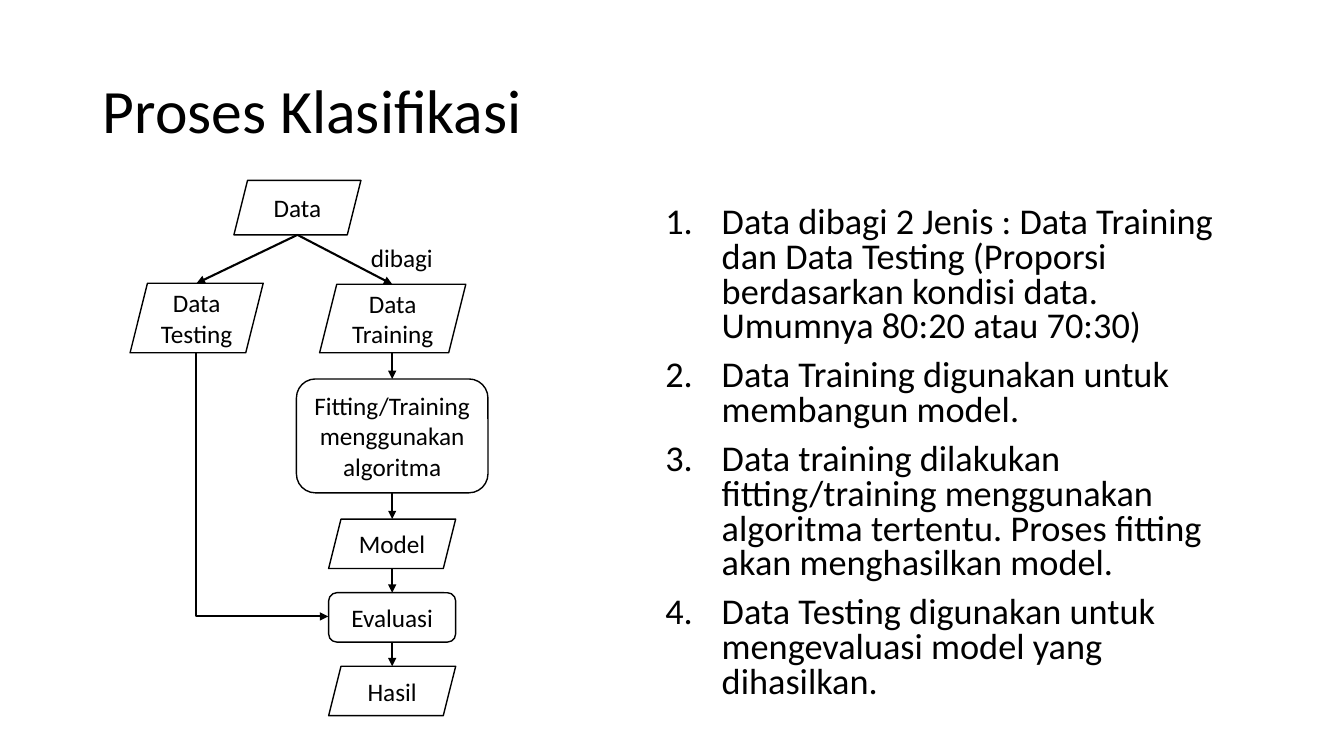
from dataclasses import dataclass

from lxml import etree
from pptx import Presentation
from pptx import util as u
from pptx.dml.color import RGBColor
from pptx.enum import shapes, text
from pptx.oxml import ns

SCALE = 9144
SKEW = shapes.MSO_SHAPE.PARALLELOGRAM
ROUND = shapes.MSO_SHAPE.ROUNDED_RECTANGLE


@dataclass(frozen=True)
class Theme:
    ink: RGBColor = RGBColor(0, 0, 0)
    paper: RGBColor = RGBColor(255, 255, 255)
    font: str = "Calibri"
    title: float = 44
    body: float = 25.9
    label: float = 18
    edge: float = 1
    arrow: float = 1.5


@dataclass(frozen=True)
class Box:
    left: int
    top: int
    width: int
    height: int

    @property
    def mid(self) -> int:
        return self.left + self.width // 2

    @property
    def foot(self) -> int:
        return self.top + self.height


@dataclass(frozen=True)
class Node:
    label: str
    kind: shapes.MSO_SHAPE
    box: Box


THEME = Theme()
TITLE = Box(92, 40, 1150, 145)
BODY = Box(650, 200, 592, 510)
NOTE = Box(358, 236, 82, 40)

DATA = Node("Data", SKEW, Box(232, 179, 126, 54))
TEST = Node("Data Testing", SKEW, Box(129, 281, 132, 69))
TRAIN = Node("Data Training", SKEW, Box(317, 282, 145, 68))
FIT = Node("Fitting/Training menggunakan algoritma", ROUND, Box(294, 376, 190, 113))
MODEL, EVAL, RESULT = (
    Node(label, kind, Box(326, 515 + 73 * row, 126, 49))
    for row, (label, kind) in enumerate(
        [("Model", SKEW), ("Evaluasi", ROUND), ("Hasil", SKEW)]
    )
)
NODES = [DATA, TEST, TRAIN, FIT, MODEL, EVAL, RESULT]
FLOWS = [
    (DATA, TEST),
    (DATA, TRAIN),
    (TRAIN, FIT),
    (FIT, MODEL),
    (MODEL, EVAL),
    (EVAL, RESULT),
]
STEPS = [
    "Data dibagi 2 Jenis : Data Training dan Data Testing (Proporsi berdasarkan kondisi data. Umumnya 80:20 atau 70:30)",
    "Data Training digunakan untuk membangun model.",
    "Data training dilakukan fitting/training menggunakan algoritma tertentu. Proses fitting akan menghasilkan model.",
    "Data Testing digunakan untuk mengevaluasi model yang dihasilkan.",
]


def px(size: int) -> u.Emu:
    return u.Emu(size * SCALE)


def area(box: Box) -> tuple:
    return px(box.left), px(box.top), px(box.width), px(box.height)


def style(para, size: float, align=text.PP_ALIGN.LEFT) -> None:
    para.alignment = align
    for run in para.runs:
        run.font.name = THEME.font
        run.font.size = u.Pt(size)
        run.font.color.rgb = THEME.ink


def draw_title(slide, words: str) -> None:
    head = slide.shapes.title
    head.left, head.top, head.width, head.height = area(TITLE)
    frame = head.text_frame
    frame.text = words
    frame.auto_size = text.MSO_AUTO_SIZE.NONE
    frame.vertical_anchor = text.MSO_ANCHOR.MIDDLE
    frame.paragraphs[0].line_spacing = 0.9
    style(frame.paragraphs[0], THEME.title)


def draw_steps(slide) -> None:
    frame = slide.shapes.add_textbox(*area(BODY)).text_frame
    frame.word_wrap = True
    frame.text = "\n".join(STEPS)
    for row, para in enumerate(frame.paragraphs):
        style(para, THEME.body)
        para.line_spacing = 0.8
        para.space_before = u.Pt(10 if row else 0)
        props = para._p.get_or_add_pPr()
        props.set("marL", str(px(56)))
        props.set("indent", str(-px(56)))
        etree.SubElement(props, ns.qn("a:buAutoNum"), type="arabicPeriod")


def draw_node(slide, node: Node) -> None:
    shape = slide.shapes.add_shape(node.kind, *area(node.box))
    shape.shadow.inherit = False
    shape.fill.solid()
    shape.fill.fore_color.rgb = THEME.paper
    shape.line.color.rgb = THEME.ink
    shape.line.width = u.Pt(THEME.edge)
    frame = shape.text_frame
    frame.word_wrap = True
    frame.vertical_anchor = text.MSO_ANCHOR.MIDDLE
    frame.text = node.label
    style(frame.paragraphs[0], THEME.label, text.PP_ALIGN.CENTER)


def draw_arrow(slide, kind, start: tuple[int, int], end: tuple[int, int]):
    arrow = slide.shapes.add_connector(kind, *map(px, start + end))
    arrow.line.color.rgb = THEME.ink
    arrow.line.width = u.Pt(THEME.arrow)
    etree.SubElement(arrow.line._get_or_add_ln(), ns.qn("a:tailEnd"), type="triangle")
    etree.SubElement(arrow._element.spPr, ns.qn("a:effectLst"))
    return arrow


def draw_elbow(slide, start: tuple[int, int], end: tuple[int, int]) -> None:
    wide, tall = end[0] - start[0], end[1] - start[1]
    left = (start[0] + end[0] - tall) // 2
    top = (start[1] + end[1] - wide) // 2
    elbow = draw_arrow(
        slide, shapes.MSO_CONNECTOR.ELBOW, (left + tall, top), (left, top + wide)
    )
    props = elbow._element.spPr
    props.find(ns.qn("a:xfrm")).set("rot", "16200000")
    props.find(ns.qn("a:prstGeom")).set("prst", "bentConnector2")


def draw_note(slide, words: str) -> None:
    frame = slide.shapes.add_textbox(*area(NOTE)).text_frame
    frame.word_wrap = True
    frame.text = words
    style(frame.paragraphs[0], THEME.label)


def main() -> None:
    deck = Presentation()
    deck.slide_width, deck.slide_height = px(1333), px(750)
    slide = deck.slides.add_slide(deck.slide_layouts[5])
    draw_title(slide, "Proses Klasifikasi")
    draw_steps(slide)
    for node in NODES:
        draw_node(slide, node)
    for tail, head in FLOWS:
        start = tail.box.mid, tail.box.foot
        end = head.box.mid, head.box.top
        draw_arrow(slide, shapes.MSO_CONNECTOR.STRAIGHT, start, end)
    goal = EVAL.box.left, EVAL.box.top + EVAL.box.height // 2
    draw_elbow(slide, (TEST.box.mid, TEST.box.foot), goal)
    draw_note(slide, "dibagi")
    deck.save("out.pptx")


if __name__ == "__main__":
    main()
